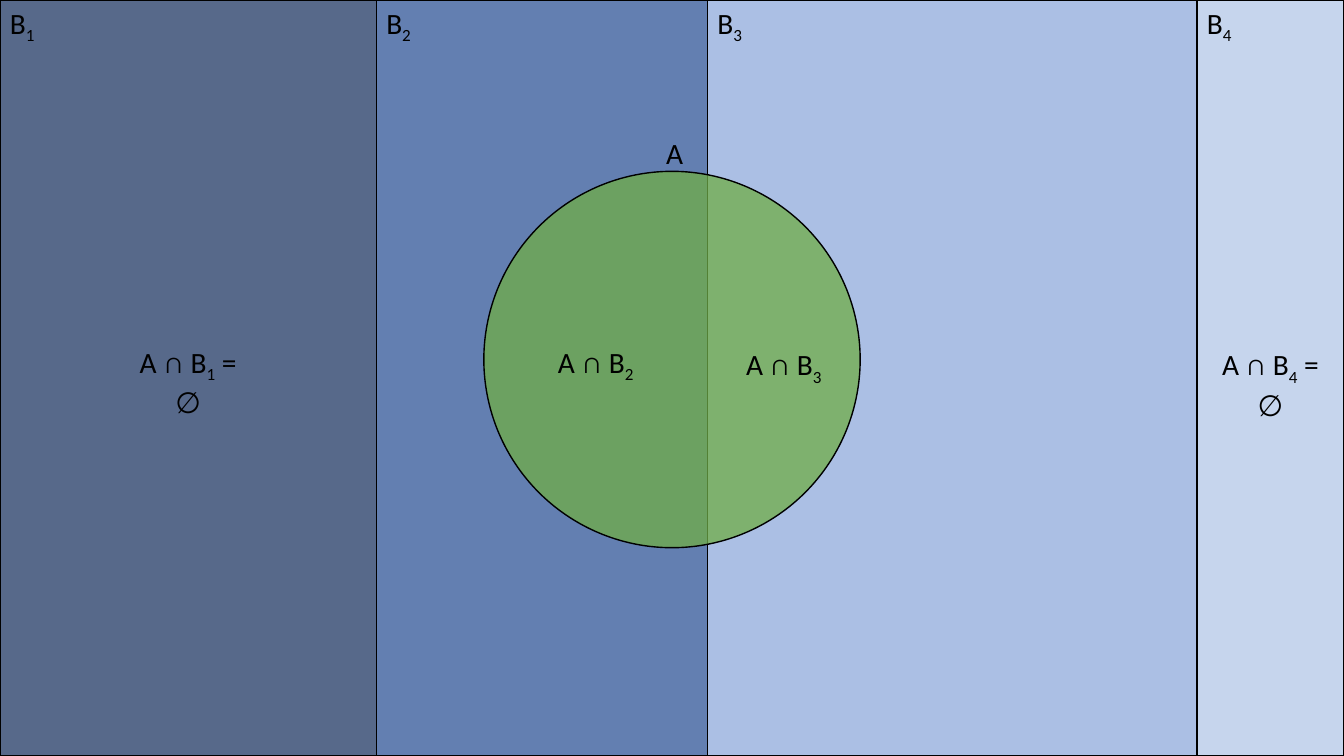
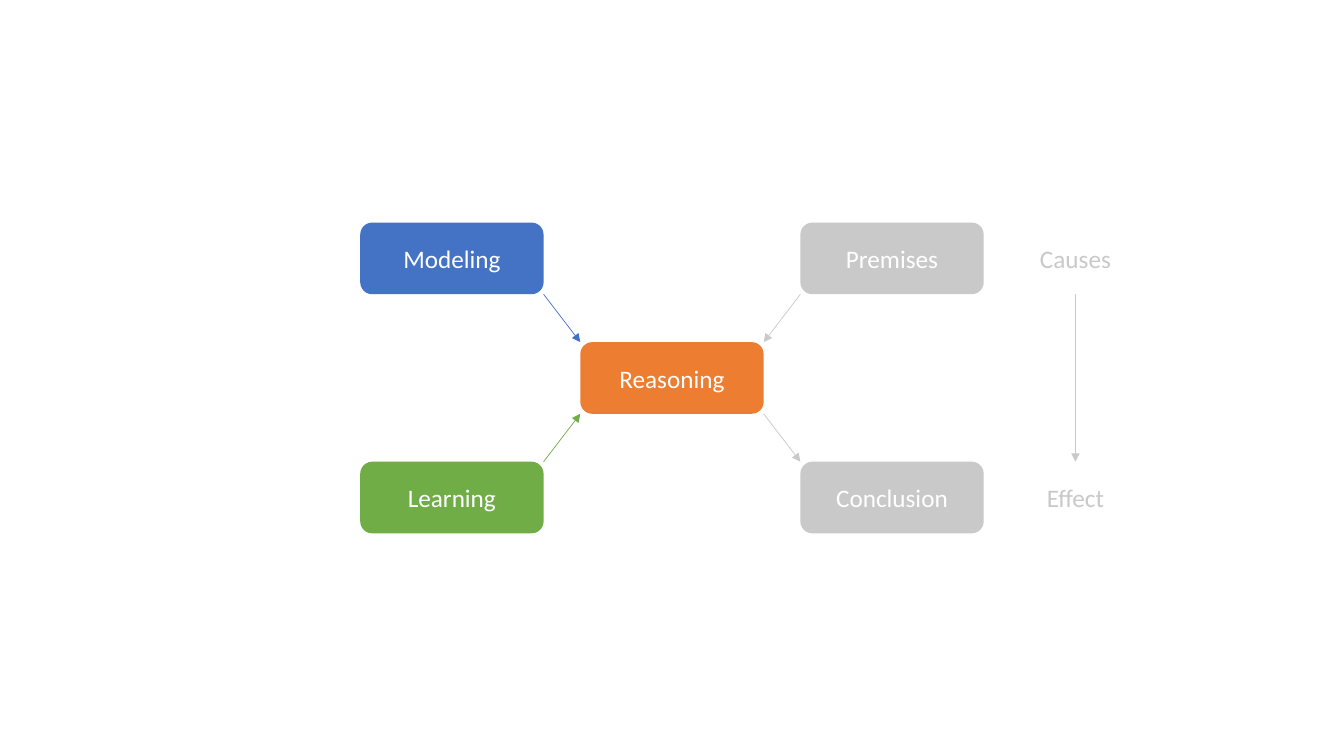
"""Build two slides: a partition of events, and a map of reasoning."""
from dataclasses import dataclass
from itertools import pairwise

from lxml import etree
from pptx import Presentation
from pptx.dml.color import RGBColor
from pptx.enum.shapes import MSO_CONNECTOR, MSO_SHAPE
from pptx.enum.text import MSO_ANCHOR, MSO_AUTO_SIZE, PP_ALIGN
from pptx.oxml.ns import qn
from pptx.util import Pt

RECT, OVAL, ROUND = MSO_SHAPE.RECTANGLE, MSO_SHAPE.OVAL, MSO_SHAPE.ROUNDED_RECTANGLE
STRAIGHT = MSO_CONNECTOR.STRAIGHT
LEFT, CENTER, MIDDLE = PP_ALIGN.LEFT, PP_ALIGN.CENTER, MSO_ANCHOR.MIDDLE
GROW = MSO_AUTO_SIZE.SHAPE_TO_FIT_TEXT
BOTTOM_SITE, TOP_SITE = 2, 0


@dataclass(frozen=True)
class Theme:
    """Hold the colours, type and line sizes of the deck."""
    font: str = "Calibri"
    label: float = 21
    node: float = 18
    border: float = 1
    arrow: float = 0.5
    alpha: int = 75
    black: str = "000000"
    white: str = "FFFFFF"
    gray: str = "C9C9C9"
    blue: str = "4472C4"
    green: str = "70AD47"
    orange: str = "ED7D31"
    bands: tuple = ("203864", "2F5597", "8FAADC", "B4C7E7")


THEME = Theme()
WIDTH, HEIGHT = 960, 540
EDGES = (0, 268.8, 505.4, 855, WIDTH)
DISC, DISC_TOP = 268.8, 122.4
LABEL_W, LABEL_H = 105, 34
NODE_W, NODE_H = 131, 51.2
COL_STEP, ROW_STEP = 157.2, 85.4


def assign(item, values):
    """Set each named value on the item."""
    for name, value in values.items():
        setattr(item, name, value)


def write(frame, parts, size, color, align):
    """Write one paragraph in which every second part is a subscript."""
    para = frame.paragraphs[0]
    para.alignment = align
    for index, text in enumerate(parts):
        run = para.add_run()
        run.text = text
        assign(run.font, {"name": THEME.font, "size": Pt(size)})
        run.font.color.rgb = RGBColor.from_string(color)
        if index % 2:
            run.font._element.set("baseline", "-25000")


def add_label(slide, parts, left, top, width=LABEL_W, align=CENTER):
    """Add a black label that wraps and grows with its text."""
    box = slide.shapes.add_textbox(Pt(left), Pt(top), Pt(width), Pt(LABEL_H))
    assign(box.text_frame, {"word_wrap": True, "auto_size": GROW})
    write(box.text_frame, parts, THEME.label, THEME.black, align)


def add_form(slide, kind, left, top, width, height, fill=None):
    """Add a plain shape with no line, and a fill if one is given."""
    form = slide.shapes.add_shape(kind, Pt(left), Pt(top), Pt(width), Pt(height))
    form.shadow.inherit = False
    form.line.fill.background()
    if fill:
        form.fill.solid()
        form.fill.fore_color.rgb = RGBColor.from_string(fill)
    else:
        form.fill.background()
    return form


def add_region(slide, kind, left, top, width, height, fill):
    """Add a see-through region with a black border."""
    form = add_form(slide, kind, left, top, width, height, fill)
    color = form.element.spPr.find(qn("a:solidFill"))[0]
    etree.SubElement(color, qn("a:alpha"), val=str(THEME.alpha * 1000))
    form.line.color.rgb = RGBColor.from_string(THEME.black)
    form.line.width = Pt(THEME.border)


def add_node(slide, text, col, row, fill=None):
    """Add a rounded node whose left and middle are given."""
    node = add_form(slide, ROUND, col, row - NODE_H / 2, NODE_W, NODE_H, fill)
    assign(node.text_frame, {"word_wrap": True, "vertical_anchor": MIDDLE})
    write(node.text_frame, [text], THEME.node, THEME.white if fill else THEME.gray, CENTER)
    return node


def add_arrow(slide, start, end, color):
    """Add a thin arrow from start to end."""
    arrow = slide.shapes.add_connector(STRAIGHT, *map(Pt, start + end))
    arrow.line.color.rgb = RGBColor.from_string(color)
    arrow.line.width = Pt(THEME.arrow)
    props = arrow.element.spPr
    etree.SubElement(props.find(qn("a:ln")), qn("a:tailEnd"), type="triangle")
    etree.SubElement(props, qn("a:effectLst"))
    return arrow


def draw_events(slide):
    """Draw the event A across the four parts B."""
    spans = list(pairwise(EDGES))
    for (left, right), fill in zip(spans, THEME.bands):
        add_region(slide, RECT, left, 0, right - left, HEIGHT, fill)
    start = (WIDTH - DISC) / 2
    end = start + DISC
    add_region(slide, OVAL, start, DISC_TOP, DISC, DISC, THEME.green)
    add_label(slide, ["A"], 468.7, 92.9, 22.3)
    tops = (242, 242, 244, 244)
    for number, ((left, right), top) in enumerate(zip(spans, tops), 1):
        add_label(slide, ["B", str(number)], left, 0, 75.6, LEFT)
        parts = ["A ∩ B", str(number)]
        low, high = max(left, start), min(right, end)
        if low >= high:
            low, high = left, right
            parts.append(" = ∅")
        add_label(slide, parts, (low + high - LABEL_W) / 2, top)


def draw_map(slide):
    """Draw the nodes around reasoning and the arrows between them."""
    mid = (WIDTH - NODE_W) / 2
    cols = (mid - COL_STEP, mid, mid + COL_STEP, mid + COL_STEP + NODE_W)
    axis = HEIGHT / 2
    rows = (axis - ROW_STEP, axis, axis + ROW_STEP)
    nodes = (
        ("Modeling", 0, 0, THEME.blue),
        ("Reasoning", 1, 1, THEME.orange),
        ("Premises", 2, 0, THEME.gray),
        ("Learning", 0, 2, THEME.green),
        ("Conclusion", 2, 2, THEME.gray),
        ("Causes", 3, 0, None),
        ("Effect", 3, 2, None),
    )
    made = {text: add_node(slide, text, cols[col], rows[row], fill)
            for text, col, row, fill in nodes}
    for side, turn, color, inward in (
        (-1, -1, THEME.blue, True),
        (-1, 1, THEME.green, True),
        (1, -1, THEME.gray, True),
        (1, 1, THEME.gray, False),
    ):
        inner = (WIDTH / 2 + side * NODE_W / 2, axis + turn * NODE_H / 2)
        outer = (WIDTH / 2 + side * (COL_STEP - NODE_W / 2),
                 axis + turn * (ROW_STEP - NODE_H / 2))
        ends = (outer, inner) if inward else (inner, outer)
        add_arrow(slide, *ends, color)
    link = add_arrow(slide, (0, 0), (0, 0), THEME.gray)
    link.begin_connect(made["Causes"], BOTTOM_SITE)
    link.end_connect(made["Effect"], TOP_SITE)


def main():
    """Build and save the deck."""
    deck = Presentation()
    assign(deck, {"slide_width": Pt(WIDTH), "slide_height": Pt(HEIGHT)})
    for draw in (draw_events, draw_map):
        draw(deck.slides.add_slide(deck.slide_layouts[6]))
    deck.save("out.pptx")


if __name__ == "__main__":
    main()
